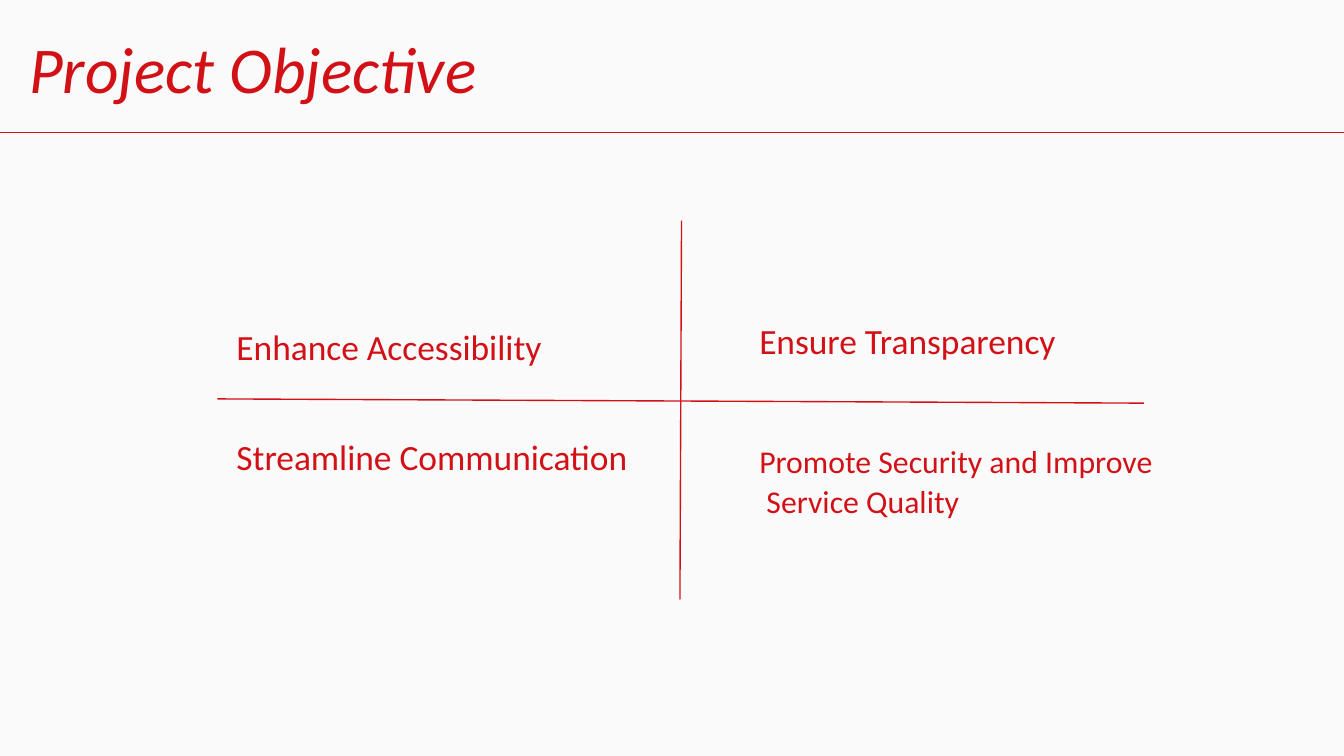
"""Build the project objective slide with its four goals around a cross."""
from dataclasses import dataclass

import pptx
import pptx.dml.color
import pptx.enum.shapes
import pptx.enum.text
import pptx.oxml
import pptx.util

Cm = pptx.util.Cm
Pt = pptx.util.Pt
ALIGN = pptx.enum.text.PP_ALIGN
RED = "D21117"
PAPER = "FBFAFA"
FONT = "Calibri"
WIDE, HIGH = 25.4, 14.29
LEFT, RIGHT = 4.22, 14.1


@dataclass
class Label:
    lines: list[str]
    x: float
    y: float
    width: float
    height: float
    size: int = 19
    slant: bool = False
    align: ALIGN = ALIGN.JUSTIFY


@dataclass
class Rule:
    x1: float
    y1: float
    x2: float
    y2: float


LABELS = [
    Label(["Project Objective"], 0.3, 0.28, 19.61, 2.39, 35, True, ALIGN.LEFT),
    Label(["Streamline Communication"], LEFT, 7.98, 9.09, 1.02),
    Label(["Enhance Accessibility"], LEFT, 5.89, 7.95, 1.02),
    Label(["Ensure Transparency"], RIGHT, 5.79, 7.95, 1.02),
    Label(["Promote Security and Improve", " Service Quality"],
          RIGHT, 8.1, 10.87, 1.85, 17),
]
RULES = [
    Rule(0, 2.51, WIDE, 2.51),
    Rule(12.88, 4.17, 12.85, 11.33),
    Rule(4.11, 7.54, 21.62, 7.62),
]


def paint(target, tone: str) -> None:
    target.rgb = pptx.dml.color.RGBColor.from_string(tone)


def write(slide, label: Label) -> None:
    box = slide.shapes.add_textbox(
        Cm(label.x), Cm(label.y), Cm(label.width), Cm(label.height))
    frame = box.text_frame
    frame.word_wrap = True
    frame.vertical_anchor = pptx.enum.text.MSO_ANCHOR.TOP
    frame.margin_left = frame.margin_right = Cm(0.25)
    frame.margin_top = frame.margin_bottom = Cm(0.25)
    for index, line in enumerate(label.lines):
        para = frame.add_paragraph() if index else frame.paragraphs[0]
        para.alignment = label.align
        para.space_before = Pt(1 if index else 0)
        run = para.add_run()
        run.text = line
        run.font.name = FONT
        run.font.size = Pt(label.size)
        run.font.italic = label.slant
        paint(run.font.color, RED)


def draw(slide, rule: Rule) -> None:
    line = slide.shapes.add_connector(
        pptx.enum.shapes.MSO_CONNECTOR.STRAIGHT,
        Cm(rule.x1), Cm(rule.y1), Cm(rule.x2), Cm(rule.y2))
    line.line.width = Pt(0.75)
    paint(line.line.color, RED)
    props = line._element.spPr
    props.append(pptx.oxml.parse_xml(
        '<a:effectLst xmlns:a='
        '"http://schemas.openxmlformats.org/drawingml/2006/main"/>'))


def main() -> None:
    deck = pptx.Presentation()
    deck.slide_width, deck.slide_height = Cm(WIDE), Cm(HIGH)
    slide = deck.slides.add_slide(deck.slide_layouts[6])
    fill = slide.background.fill
    fill.solid()
    paint(fill.fore_color, PAPER)
    for label in LABELS:
        write(slide, label)
    for rule in RULES:
        draw(slide, rule)
    deck.save("out.pptx")


if __name__ == "__main__":
    main()
